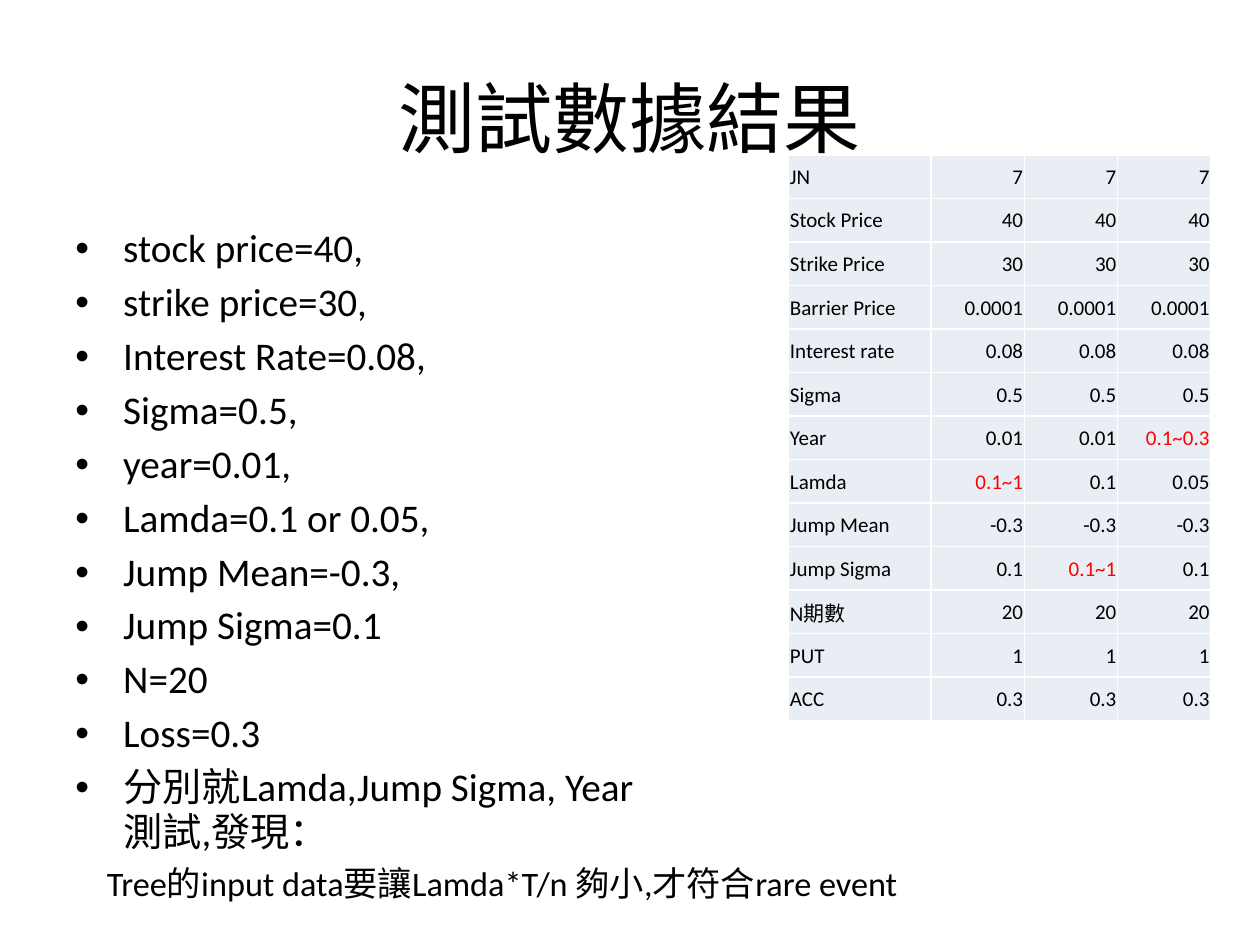
"""Build the slide of test data results with its parameter list and table."""
from lxml.etree import SubElement
from pptx import Presentation
from pptx.dml.color import RGBColor
from pptx.enum.text import MSO_ANCHOR, PP_ALIGN
from pptx.oxml.ns import qn
from pptx.util import Inches, Pt

TITLE = "測試數據結果"
PARAMETERS = [
    "stock price=40,",
    "strike price=30,",
    "Interest Rate=0.08,",
    "Sigma=0.5,",
    "year=0.01,",
    "Lamda=0.1 or 0.05,",
    "Jump Mean=-0.3,",
    "Jump Sigma=0.1",
    "N=20",
    "Loss=0.3",
    "分別就Lamda,Jump Sigma, Year\v測試,發現：",
]
FINDING = "Tree的input data要讓Lamda*T/n 夠小,才符合rare event"
RESULTS = [
    ("JN", "7", "7", "7"),
    ("Stock Price", "40", "40", "40"),
    ("Strike Price", "30", "30", "30"),
    ("Barrier Price", "0.0001", "0.0001", "0.0001"),
    ("Interest rate", "0.08", "0.08", "0.08"),
    ("Sigma", "0.5", "0.5", "0.5"),
    ("Year", "0.01", "0.01", "0.1~0.3"),
    ("Lamda", "0.1~1", "0.1", "0.05"),
    ("Jump Mean", "-0.3", "-0.3", "-0.3"),
    ("Jump Sigma", "0.1", "0.1~1", "0.1"),
    ("N期數", "20", "20", "20"),
    ("PUT", "1", "1", "1"),
    ("ACC", "0.3", "0.3", "0.3"),
]
THEME = {
    "font": "Calibri",
    "text": RGBColor(0, 0, 0),
    "varied": RGBColor(255, 0, 0),
    "cell": RGBColor(0xE9, 0xED, 0xF4),
    "border": "FFFFFF",
    "title": Pt(44),
    "body": Pt(22.4),
    "finding": Pt(19.6),
    "table": Pt(12),
}
COLUMN_WIDTHS = (1.13, 0.74, 0.74, 0.74)
TABLE_HEIGHT = 4.49


def apply(target, formats):
    for name, value in formats.items():
        setattr(target, name, value)


def write(para, text, size, color="text", **formats):
    para.text = text
    apply(para, formats)
    apply(para.font, {"name": THEME["font"], "size": THEME[size]})
    for span in para.runs:
        apply(span.font, {"name": THEME["font"], "size": THEME[size]})
        span.font.color.rgb = THEME[color]


def add_box(page, left, top, width, height, anchor):
    box = page.shapes.add_textbox(*map(Inches, (left, top, width, height)))
    apply(box.text_frame, {"word_wrap": True, "vertical_anchor": anchor})
    return box.text_frame


def indent(para, margin, hanging=0.0, bullet=None):
    properties = para._p.get_or_add_pPr()
    properties.set("marL", str(Inches(margin)))
    properties.set("indent", str(Inches(-hanging)))
    if bullet:
        SubElement(properties, qn("a:buFont"), typeface="Arial")
        SubElement(properties, qn("a:buChar"), char=bullet)


def add_body(page):
    frame = add_box(page, 0.5, 1.75, 9, 4.95, MSO_ANCHOR.TOP)
    for index, text in enumerate(PARAMETERS):
        para = frame.add_paragraph() if index else frame.paragraphs[0]
        para.line_spacing = 0.96
        para.space_before = Pt(5 if index else 0)
        indent(para, 0.38, 0.38, "•")
        write(para, text, "body")
    para = frame.add_paragraph()
    indent(para, 0.25)
    write(para, FINDING, "finding", space_before=Pt(5), line_spacing=0.96)


def add_borders(cell):
    properties = cell._tc.get_or_add_tcPr()
    for index, side in enumerate(("lnL", "lnR", "lnT", "lnB")):
        line = properties.makeelement(qn(f"a:{side}"), {"w": str(Pt(1))})
        fill = SubElement(line, qn("a:solidFill"))
        SubElement(fill, qn("a:srgbClr"), val=THEME["border"])
        properties.insert(index, line)


def add_results(page):
    frame = page.shapes.add_table(
        len(RESULTS), len(COLUMN_WIDTHS), Inches(6.26), Inches(1.23),
        Inches(sum(COLUMN_WIDTHS)), Inches(TABLE_HEIGHT))
    table = frame.table
    apply(table, {"first_row": False, "horz_banding": False})
    for column, width in zip(table.columns, COLUMN_WIDTHS):
        column.width = Inches(width)
    cell_format = {
        "vertical_anchor": MSO_ANCHOR.MIDDLE,
        "margin_left": Inches(0.01),
        "margin_top": Inches(0.01),
        "margin_right": Inches(0.01),
        "margin_bottom": 0,
    }
    for row, values in zip(table.rows, RESULTS):
        row.height = Inches(TABLE_HEIGHT / len(RESULTS))
        for index, (cell, value) in enumerate(zip(row.cells, values)):
            apply(cell, cell_format)
            cell.fill.solid()
            cell.fill.fore_color.rgb = THEME["cell"]
            add_borders(cell)
            write(cell.text_frame.paragraphs[0], value, "table",
                  "varied" if "~" in value else "text",
                  alignment=PP_ALIGN.RIGHT if index else PP_ALIGN.LEFT)


def main():
    deck = Presentation()
    apply(deck, {"slide_width": Inches(10), "slide_height": Inches(7.5)})
    page = deck.slides.add_slide(deck.slide_layouts[6])
    heading = add_box(page, 0.5, 0.3, 9, 1.25, MSO_ANCHOR.MIDDLE)
    write(heading.paragraphs[0], TITLE, "title", alignment=PP_ALIGN.CENTER)
    add_body(page)
    add_results(page)
    deck.save("out.pptx")


if __name__ == "__main__":
    main()
